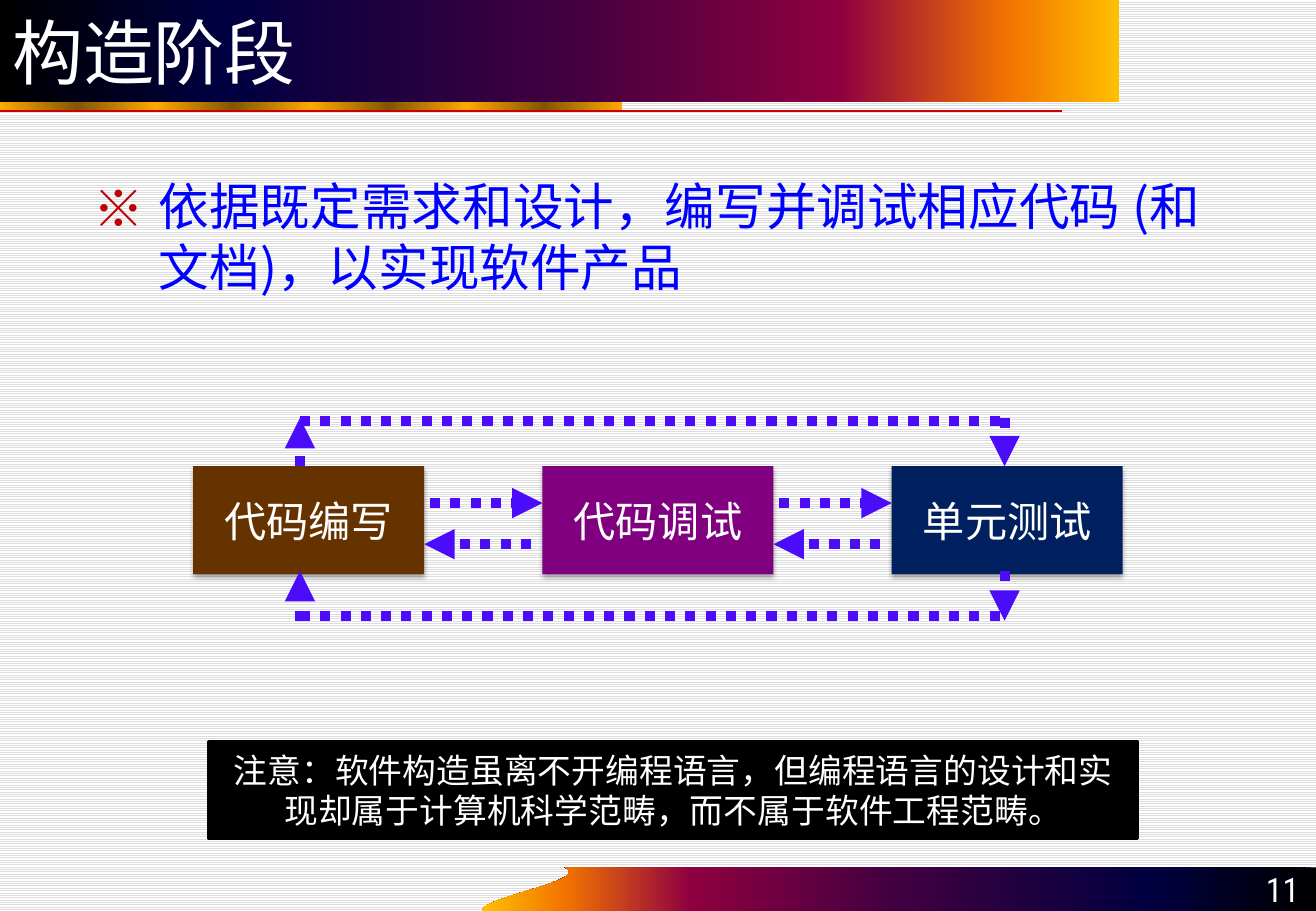
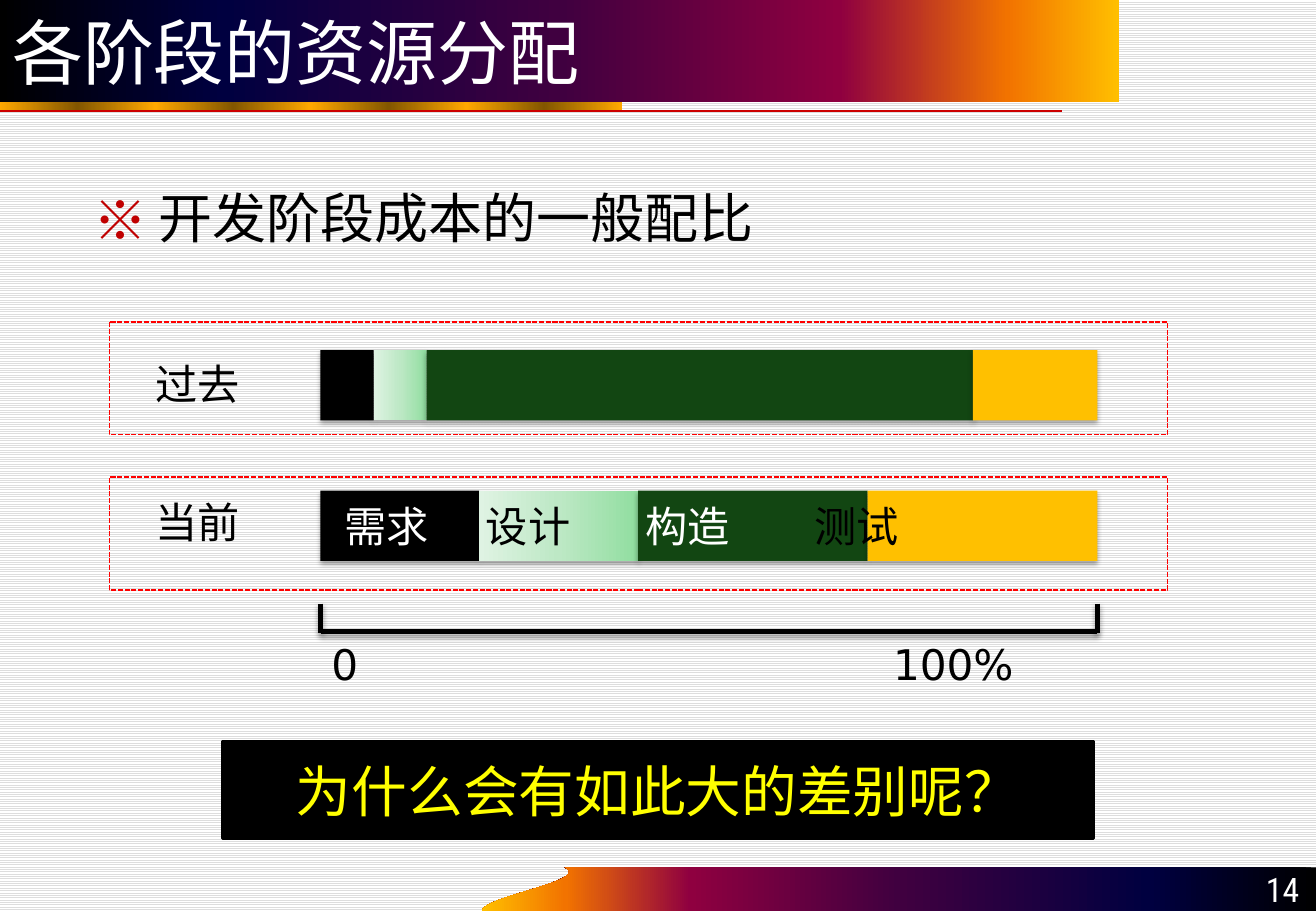
from dataclasses import dataclass
from itertools import accumulate
from typing import Any, Optional, Union

from lxml.etree import SubElement
from pptx import Presentation
from pptx.dml.color import RGBColor
from pptx.enum.dml import MSO_LINE, MSO_PATTERN
from pptx.enum.shapes import MSO_CONNECTOR, MSO_SHAPE
from pptx.enum.text import MSO_ANCHOR, PP_ALIGN
from pptx.oxml.ns import qn
from pptx.util import Cm, Pt

BLACK = RGBColor(0x00, 0x00, 0x00)
WHITE = RGBColor(0xFF, 0xFF, 0xFF)
GREY = RGBColor(0xDD, 0xDD, 0xDD)
BLUE = RGBColor(0x00, 0x00, 0xFF)
RED = RGBColor(0xFF, 0x00, 0x00)
RULE_RED = RGBColor(0xCC, 0x00, 0x00)
BULLET_RED = RGBColor(0xC0, 0x00, 0x00)
BROWN = RGBColor(0x66, 0x33, 0x00)
PURPLE = RGBColor(0x80, 0x00, 0x80)
NAVY = RGBColor(0x00, 0x20, 0x60)
VIOLET = RGBColor(0x4B, 0x0D, 0xF9)
GREEN = RGBColor(0x12, 0x46, 0x12)
AMBER = RGBColor(0xFF, 0xC0, 0x00)
YELLOW = RGBColor(0xFF, 0xFF, 0x00)
DARK_GOLD = RGBColor(0x82, 0x56, 0x00)
GOLD = RGBColor(0xFF, 0xA8, 0x00)

CJK = "Noto Sans CJK SC"
SANS = "DejaVu Sans"
NUMBER_FONT = "Roboto Condensed"


@dataclass(frozen=True)
class Gradient:
    stops: tuple[tuple[float, RGBColor], ...]
    angle: int = 0


@dataclass(frozen=True)
class Box:
    x: float
    y: float
    w: float
    h: float


@dataclass(frozen=True)
class Stage:
    text: str
    color: RGBColor


@dataclass(frozen=True)
class Segment:
    width: float
    fill: Union[RGBColor, Gradient]


@dataclass(frozen=True)
class Label:
    text: str
    x: float
    y: float
    color: RGBColor = BLACK
    font: str = CJK


SUNSET_STOPS = (
    (0, BLACK),
    (20, RGBColor(0x00, 0x00, 0x40)),
    (50, RGBColor(0x40, 0x00, 0x40)),
    (75, RGBColor(0x8F, 0x00, 0x40)),
    (90, RGBColor(0xF2, 0x73, 0x00)),
    (100, RGBColor(0xFF, 0xBF, 0x00)),
)
SUNSET = Gradient(SUNSET_STOPS)
SUNSET_BACK = Gradient(SUNSET_STOPS, 180)
GOLD_WAVES = Gradient(tuple((i * 12.5, (GOLD, DARK_GOLD)[i % 2]) for i in range(9)))
MINT = Gradient((
    (0, RGBColor(0x91, 0xDE, 0xA0)),
    (50, RGBColor(0xBD, 0xE8, 0xC5)),
    (100, RGBColor(0xDF, 0xF3, 0xE3)),
), 180)

STAGES = (Stage("代码编写", BROWN), Stage("代码调试", PURPLE), Stage("单元测试", NAVY))
FILLS = (BLACK, MINT, GREEN, AMBER)
BARS = {7.32: (1.11, 1.11, 11.42, 2.6), 10.26: (3.32, 3.32, 4.8, 4.8)}
BAR_X, BAR_RIGHT = 6.7, 22.94
LABELS = (
    Label("过去", 3, 7.37),
    Label("当前", 3, 10.26),
    Label("需求", 6.96, 10.34, WHITE),
    Label("设计", 9.91, 10.34),
    Label("构造", 13.24, 10.34, WHITE),
    Label("测试", 16.77, 10.34),
    Label("0", 6.68, 13.23, font=SANS),
    Label("100%", 18.42, 13.23, font=SANS),
)


def put(obj: Any, **values: Any) -> None:
    for name, value in values.items():
        setattr(obj, name, value)


def cm(*values: float) -> list[Cm]:
    return [Cm(v) for v in values]


def paint(sp: Any, fill: Union[RGBColor, Gradient, None]) -> None:
    if fill is None:
        sp.fill.background()
    elif isinstance(fill, Gradient):
        sp.fill.gradient()
        sp.fill.gradient_angle = fill.angle
        stops = sp.element.spPr.find(".//" + qn("a:gsLst"))
        for old in list(stops):
            stops.remove(old)
        for pos, color in fill.stops:
            gs = SubElement(stops, qn("a:gs"), pos=str(int(pos * 1000)))
            SubElement(gs, qn("a:srgbClr"), val=str(color))
    else:
        sp.fill.solid()
        sp.fill.fore_color.rgb = fill


def add_shadow(effects: Any) -> None:
    shadow = SubElement(effects, qn("a:outerShdw"), blurRad=str(Pt(3.1)), dist=str(Pt(1.8)),
                        dir="5400000", rotWithShape="0")
    color = SubElement(shadow, qn("a:srgbClr"), val=str(BLACK))
    SubElement(color, qn("a:alpha"), val="35000")


def write(sp: Any, text: str, size: float, color: RGBColor, font: str = CJK,
          align: PP_ALIGN = PP_ALIGN.LEFT, anchor: MSO_ANCHOR = MSO_ANCHOR.TOP,
          wrap: bool = True) -> Any:
    tf = sp.text_frame
    put(tf, word_wrap=wrap, vertical_anchor=anchor)
    p = tf.paragraphs[0]
    p.alignment = align
    r = p.add_run()
    r.text = text
    put(r.font, name=font, size=Pt(size))
    r.font.color.rgb = color
    SubElement(r.font._element, qn("a:ea"), typeface=font)
    return p


def add_rect(s: Any, box: Box, fill: Union[RGBColor, Gradient, None],
             line: Optional[RGBColor] = None, width: float = 1, shadow: bool = False) -> Any:
    sp = s.shapes.add_shape(MSO_SHAPE.RECTANGLE, *cm(box.x, box.y, box.w, box.h))
    paint(sp, fill)
    if line is None:
        sp.line.fill.background()
    else:
        sp.line.color.rgb = line
        sp.line.width = Pt(width)
    sp.shadow.inherit = False
    if shadow:
        add_shadow(sp.element.spPr.find(qn("a:effectLst")))
    return sp


def add_line(s: Any, x1: float, y1: float, x2: float, y2: float, color: RGBColor, width: float,
             dotted: bool = False, arrow: bool = False, shadow: bool = False) -> None:
    cx = s.shapes.add_connector(MSO_CONNECTOR.STRAIGHT, *cm(x1, y1, x2, y2))
    cx.line.color.rgb = color
    cx.line.width = Pt(width)
    if dotted:
        cx.line.dash_style = MSO_LINE.ROUND_DOT
    spPr = cx.element.spPr
    if arrow:
        SubElement(spPr.find(qn("a:ln")), qn("a:tailEnd"), type="triangle")
    effects = SubElement(spPr, qn("a:effectLst"))
    if shadow:
        add_shadow(effects)


def add_footer(s: Any, number: int) -> None:
    curve = ((10.08, 19.05), (10.08, 18.75), (12.37, 18.42), (11.81, 18.14))
    points = []
    for i in range(1, 21):
        t = i / 20
        weights = ((1 - t) ** 3, 3 * t * (1 - t) ** 2, 3 * t * t * (1 - t), t ** 3)
        points.append(tuple(Cm(sum(w * c[k] for w, c in zip(weights, curve))) for k in (0, 1)))
    fb = s.shapes.build_freeform(*cm(11.81, 18.14))
    fb.add_line_segments([cm(27.51, 18.14), cm(27.51, 19.05), cm(10.08, 19.05), *points])
    sp = fb.convert_to_shape()
    paint(sp, SUNSET_BACK)
    sp.line.fill.background()
    sp.shadow.inherit = False
    tb = s.shapes.add_textbox(*cm(24.97, 18.11, 2.44, 1.02))
    write(tb, str(number), 20, WHITE, NUMBER_FONT, PP_ALIGN.RIGHT, MSO_ANCHOR.BOTTOM)


def add_slide(prs: Any, title: str, number: int) -> Any:
    s = prs.slides.add_slide(prs.slide_layouts[5])
    bg = s.background.fill
    bg.patterned()
    bg.pattern = MSO_PATTERN.LIGHT_HORIZONTAL
    bg.fore_color.rgb = GREY
    bg.back_color.rgb = WHITE
    sp = s.shapes.title
    put(sp, left=Cm(0), top=Cm(0), width=Cm(23.4), height=Cm(2.13))
    paint(sp, SUNSET)
    write(sp, title, 42, WHITE, SANS, anchor=MSO_ANCHOR.MIDDLE)
    add_rect(s, Box(0, 2.13, 13, 0.18), GOLD_WAVES)
    add_line(s, 0, 2.32, 22.2, 2.32, RULE_RED, 0.75)
    add_footer(s, number)
    return s


def add_bullet(s: Any, box: Box, text: str, size: float, color: RGBColor) -> None:
    tb = s.shapes.add_textbox(*cm(box.x, box.y, box.w, box.h))
    pPr = write(tb, text, size, color)._p.get_or_add_pPr()
    pPr.set("marL", str(Cm(1.37)))
    pPr.set("indent", str(Cm(-1.37)))
    SubElement(SubElement(pPr, qn("a:buClr")), qn("a:srgbClr"), val=str(BULLET_RED))
    SubElement(pPr, qn("a:buFont"), typeface=CJK)
    SubElement(pPr, qn("a:buChar"), char="※")


def add_banner(s: Any, x: float, w: float, text: str, size: float, color: RGBColor) -> None:
    sp = add_rect(s, Box(x, 15.52, w, 2.01), BLACK, BLACK, 2)
    write(sp, text, size, color, align=PP_ALIGN.CENTER, anchor=MSO_ANCHOR.MIDDLE)


def build_construction(prs: Any) -> None:
    s = add_slide(prs, "构造阶段", 11)
    add_bullet(s, Box(1.7, 3.53, 24.08, 2.39),
               "依据既定需求和设计，编写并调试相应代码 (和文档)，以实现软件产品", 30, BLUE)
    x0, pitch, w = 4.04, 7.3, 4.83
    for i, stage in enumerate(STAGES):
        x = x0 + i * pitch
        sp = add_rect(s, Box(x, 9.75, w, 2.26), stage.color, shadow=True)
        write(sp, stage.text, 25, WHITE, align=PP_ALIGN.CENTER, anchor=MSO_ANCHOR.MIDDLE)
        if i < len(STAGES) - 1:
            add_line(s, x + w + 0.12, 10.52, x + pitch, 10.52, VIOLET, 6, True, True)
            add_line(s, x + pitch - 0.24, 11.38, x + w, 11.38, VIOLET, 6, True, True)
    left, right = 6.27, 21
    for top, bottom, link in ((8.74, 9.75, 8.81), (11.94, 12.98, 12.88)):
        add_line(s, left, bottom, left, top, VIOLET, 6, True, True)
        add_line(s, right, top, right, bottom, VIOLET, 6, True, True)
        add_line(s, left, link, right, link, VIOLET, 6, True)
    add_banner(s, 4.37, 19.41,
               "注意：软件构造虽离不开编程语言，但编程语言的设计和实现却属于计算机科学范畴，而不属于软件工程范畴。",
               20, WHITE)


def build_resources(prs: Any) -> None:
    s = add_slide(prs, "各阶段的资源分配", 14)
    add_bullet(s, Box(1.7, 3.73, 24.08, 1.4), "开发阶段成本的一般配比", 32, BLACK)
    for y, widths in BARS.items():
        segments = [Segment(w, fill) for w, fill in zip(widths, FILLS)]
        for x, seg in zip(accumulate(widths, initial=BAR_X), segments):
            add_rect(s, Box(x, y, seg.width, 1.47), seg.fill, shadow=True)
    for y in (6.73, 9.98):
        frame = add_rect(s, Box(2.29, y, 22.12, 2.36), None, RED)
        frame.line.dash_style = MSO_LINE.SQUARE_DOT
    add_line(s, BAR_X, 13.21, BAR_RIGHT, 13.21, BLACK, 3, shadow=True)
    for x in (BAR_X, BAR_RIGHT):
        add_line(s, x, 12.62, x, 13.23, BLACK, 3, shadow=True)
    for label in LABELS:
        tb = s.shapes.add_textbox(*cm(label.x, label.y, 3.4, 1.35))
        write(tb, label.text, 25, label.color, label.font, wrap=False)
    add_banner(s, 4.65, 18.21, "为什么会有如此大的差别呢？", 33, YELLOW)


def main() -> None:
    prs = Presentation()
    put(prs, slide_width=Cm(27.51), slide_height=Cm(19.05))
    build_construction(prs)
    build_resources(prs)
    prs.save("out.pptx")


if __name__ == "__main__":
    main()
